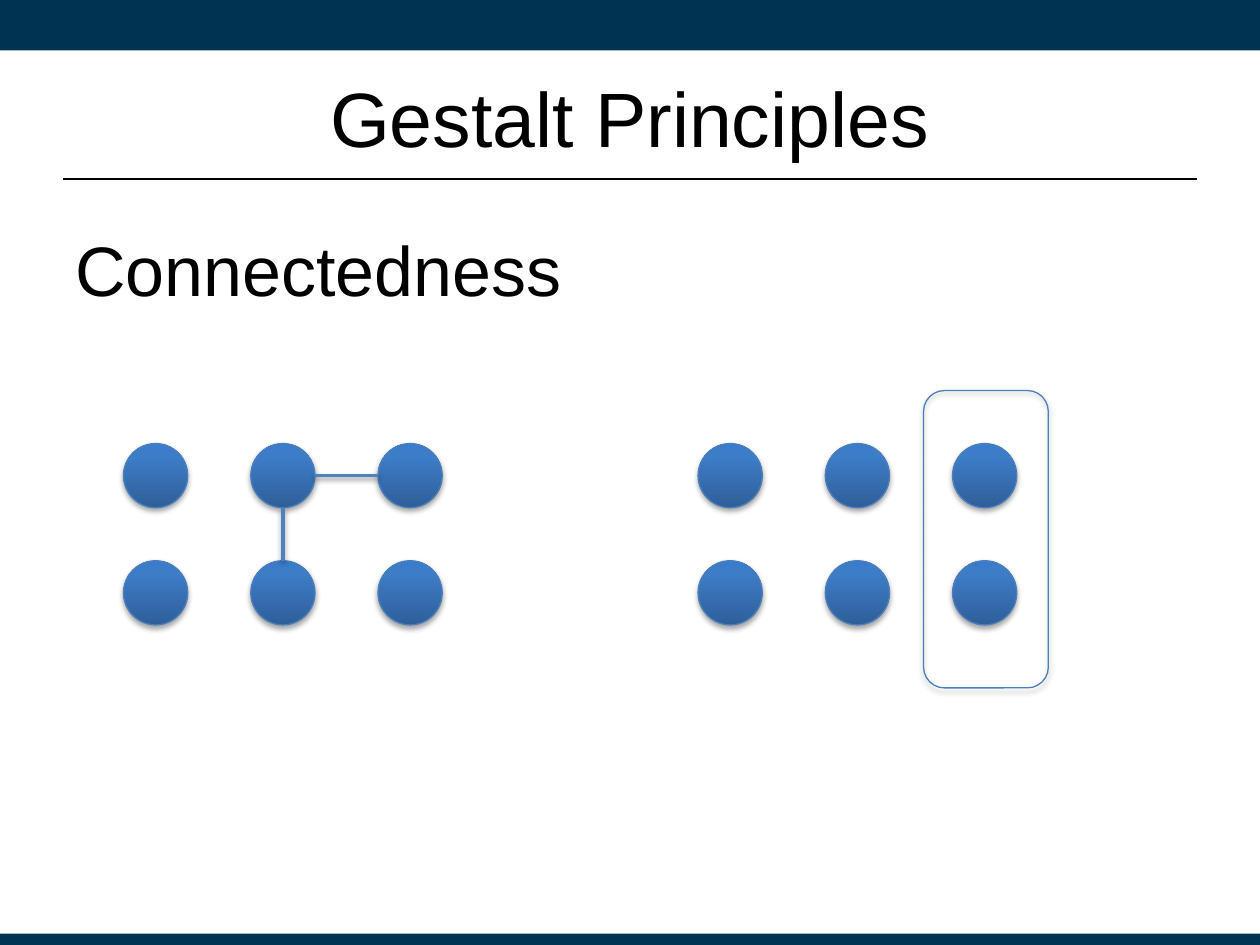
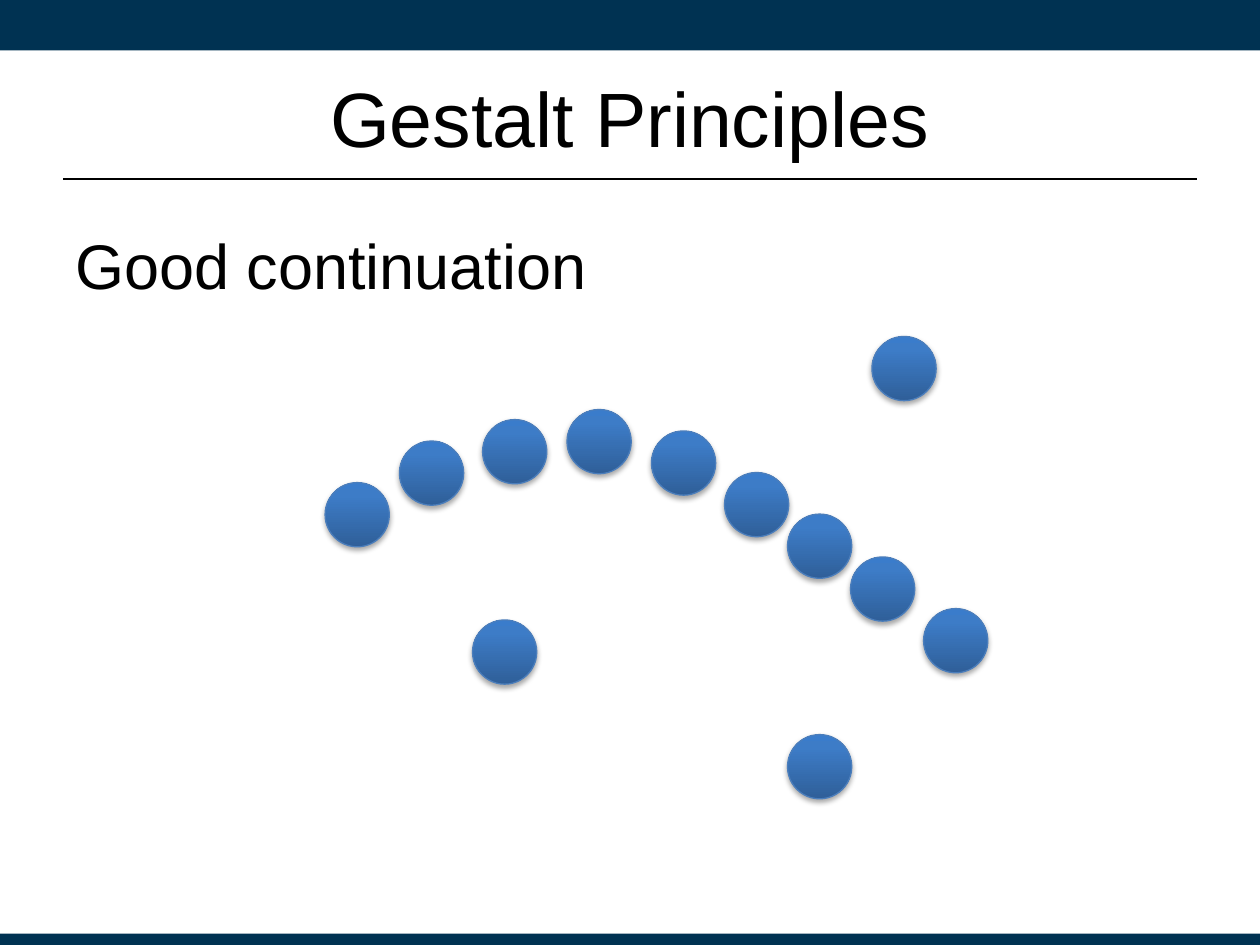
from copy import deepcopy

from lxml import etree
from pptx import Presentation
from pptx.dml.color import RGBColor
from pptx.enum import shapes, text
from pptx.oxml import ns
from pptx.util import Inches, Pt

NAVY = RGBColor(0x00, 0x32, 0x52)
BLACK = RGBColor(0x00, 0x00, 0x00)
OUTLINE = RGBColor(0x4B, 0x7E, 0xBC)
LINK = RGBColor(0x4F, 0x81, 0xBD)
DOT_STOPS = [
    (0, RGBColor(0x2F, 0x5F, 0x99)),
    (0.8, RGBColor(0x3D, 0x7C, 0xC7)),
    (1, RGBColor(0x3A, 0x7C, 0xCB)),
]
FONT = "Arial"
DOT = 0.51
COLUMN_STEP = 1.01
ROWS = [3.52, 4.45]
GROUPS = [0.98, 5.54]
CURVE = [(2.58, 3.83), (3.17, 3.5), (3.83, 3.33), (4.5, 3.25), (5.17, 3.42),
         (5.75, 3.75), (6.25, 4.08), (6.75, 4.42), (7.33, 4.83)]
STRAYS = [(3.75, 4.92), (6.25, 5.83), (6.92, 2.67)]


def set_shadow(item, opacity=0, distance=0):
    effects = etree.SubElement(item.element.spPr, ns.qn("a:effectLst"))
    if opacity:
        shadow = etree.SubElement(
            effects, ns.qn("a:outerShdw"), blurRad=str(Pt(3.1)),
            dist=str(Pt(distance)), dir="5400000", rotWithShape="0")
        color = etree.SubElement(shadow, ns.qn("a:srgbClr"), val=str(BLACK))
        etree.SubElement(color, ns.qn("a:alpha"), val=str(opacity * 1000))


def add_dot(page, left, top):
    dot = page.shapes.add_shape(shapes.MSO_SHAPE.OVAL, Inches(left), Inches(top),
                                Inches(DOT), Inches(DOT))
    dot.fill.gradient()
    dot.fill.gradient_angle = 90
    stop_list = dot.element.spPr.find(".//" + ns.qn("a:gsLst"))
    stop_list.append(deepcopy(stop_list[-1]))
    for stop, (position, color) in zip(dot.fill.gradient_stops, DOT_STOPS):
        stop.position = position
        stop.color.rgb = color
    dot.line.color.rgb = OUTLINE
    dot.line.width = Pt(0.75)
    set_shadow(dot, 35, 1.8)


deck = Presentation()
deck.slide_width = Inches(10)
deck.slide_height = Inches(7.5)

pages = []
for principle, principle_size in [("Connectedness", 40), ("Good continuation", 36)]:
    page = deck.slides.add_slide(deck.slide_layouts[6])
    pages.append(page)

    for top, height in [(0, 0.4), (7.41, 0.09)]:
        band = page.shapes.add_shape(shapes.MSO_SHAPE.RECTANGLE, 0, Inches(top),
                                     Inches(10), Inches(height))
        band.fill.solid()
        band.fill.fore_color.rgb = NAVY
        band.line.fill.background()
        band.shadow.inherit = False

    for words, size, top, height, anchor, align, before in [
        ("Gestalt Principles", 44, 0.3, 1.25, text.MSO_ANCHOR.MIDDLE, text.PP_ALIGN.CENTER, 0),
        (principle, principle_size, 1.75, 4.95, text.MSO_ANCHOR.TOP, text.PP_ALIGN.LEFT, 3),
    ]:
        box = page.shapes.add_textbox(Inches(0.5), Inches(top), Inches(9), Inches(height))
        frame = box.text_frame
        frame.word_wrap = True
        frame.vertical_anchor = anchor
        frame.text = words
        para = frame.paragraphs[0]
        para.alignment = align
        para.space_before = Pt(before)
        span = para.runs[0]
        span.font.name = FONT
        span.font.size = Pt(size)
        span.font.color.rgb = BLACK

    rule = page.shapes.add_connector(shapes.MSO_CONNECTOR.STRAIGHT, Inches(0.5),
                                     Inches(1.42), Inches(9.5), Inches(1.42))
    rule.line.color.rgb = BLACK
    rule.line.width = Pt(1.25)
    set_shadow(rule)

connected_page, continuation_page = pages

for group_left in GROUPS:
    for row_top in ROWS:
        for column in range(3):
            add_dot(connected_page, group_left + column * COLUMN_STEP, row_top)

middle_left = GROUPS[0] + COLUMN_STEP
center_x = middle_left + DOT / 2
center_y = ROWS[0] + DOT / 2
for x1, y1, x2, y2 in [
    (middle_left + DOT, center_y, middle_left + COLUMN_STEP, center_y),
    (center_x, ROWS[0] + DOT, center_x, ROWS[1]),
]:
    link = connected_page.shapes.add_connector(
        shapes.MSO_CONNECTOR.STRAIGHT, Inches(x1), Inches(y1), Inches(x2), Inches(y2))
    link.line.color.rgb = LINK
    link.line.width = Pt(2)
    set_shadow(link, 38, 1.6)

enclosure = connected_page.shapes.add_shape(
    shapes.MSO_SHAPE.ROUNDED_RECTANGLE, Inches(7.33), Inches(3.1), Inches(0.99), Inches(2.36))
enclosure.fill.background()
enclosure.line.color.rgb = OUTLINE
enclosure.line.width = Pt(0.75)
set_shadow(enclosure, 35, 1.8)

for left, top in CURVE + STRAYS:
    add_dot(continuation_page, left, top)

deck.save("out.pptx")
